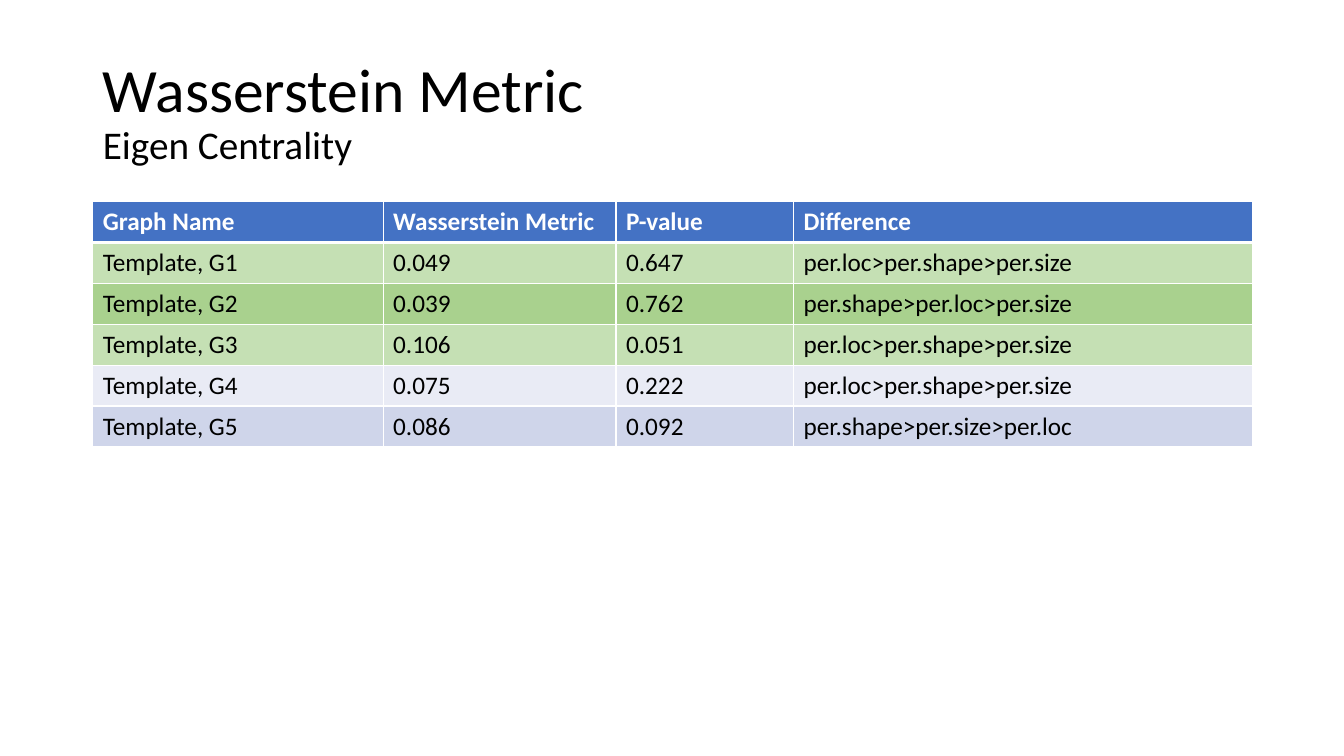
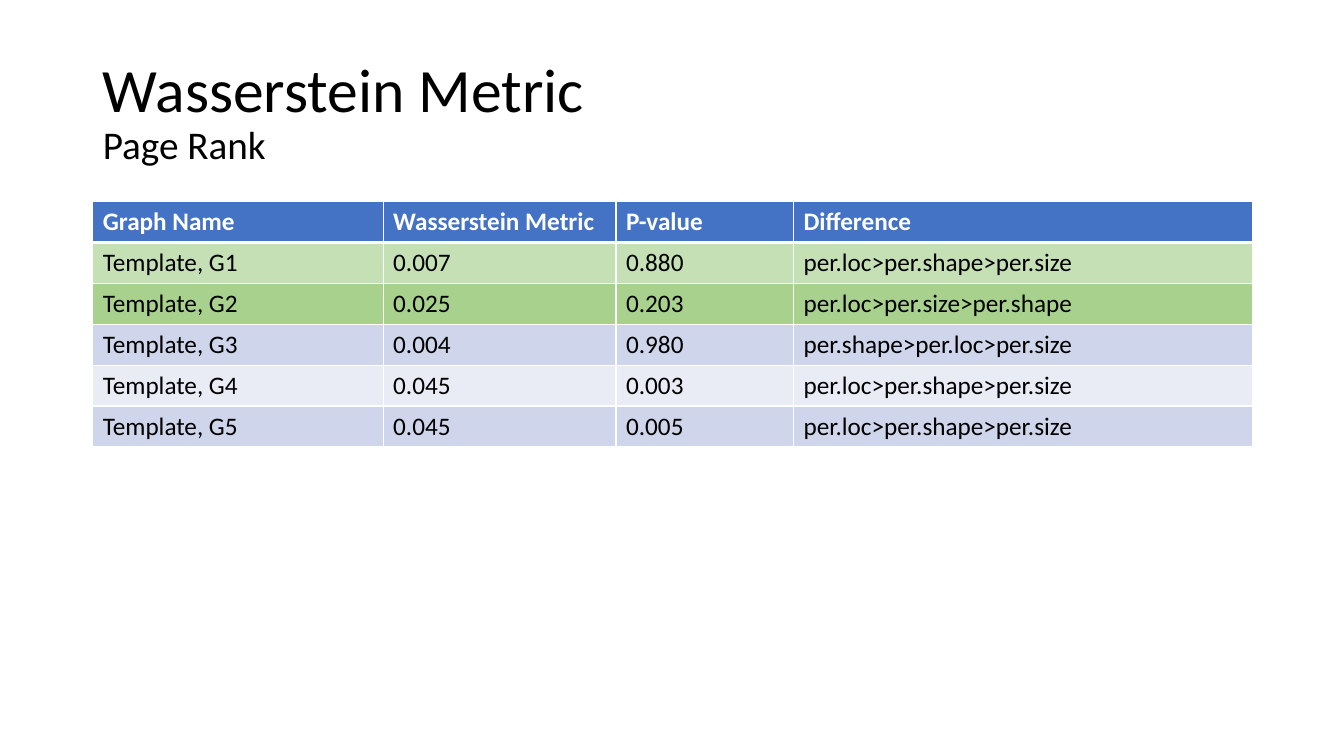
from lxml.etree import SubElement
from pptx import Presentation
from pptx.dml.color import RGBColor
from pptx.enum.text import MSO_ANCHOR, MSO_AUTO_SIZE, PP_ALIGN
from pptx.oxml.ns import qn
from pptx.util import Inches, Pt

FONT = "Calibri"
BLACK, WHITE, BLUE = "000000", "FFFFFF", "4472C4"
GREEN_BANDS = ("C5E0B4", "A9D18E")
BLUE_BANDS = ("CFD5EA", "E9EBF5")
LEFT, WIDTH = 0.92, 11.5
COLUMN_WIDTHS = (2.88, 2.31, 1.76, 4.55)
HEADERS = ("Graph Name", "Wasserstein Metric", "P-value", "Difference")

# Subtitle, number of green rows, then metric, p-value and difference per graph
SLIDES = (
    ("Eigen Centrality", 3, (
        ("0.049", "0.647", "per.loc>per.shape>per.size"),
        ("0.039", "0.762", "per.shape>per.loc>per.size"),
        ("0.106", "0.051", "per.loc>per.shape>per.size"),
        ("0.075", "0.222", "per.loc>per.shape>per.size"),
        ("0.086", "0.092", "per.shape>per.size>per.loc"),
    )),
    ("Page Rank", 2, (
        ("0.007", "0.880", "per.loc>per.shape>per.size"),
        ("0.025", "0.203", "per.loc>per.size>per.shape"),
        ("0.004", "0.980", "per.shape>per.loc>per.size"),
        ("0.045", "0.003", "per.loc>per.shape>per.size"),
        ("0.045", "0.005", "per.loc>per.shape>per.size"),
    )),
)


def rgb(color):
    return RGBColor.from_string(color)


def set_borders(cell, top, bottom):
    """Draw white cell borders; top and bottom are widths in points."""
    tc_pr = cell._tc.get_or_add_tcPr()
    for side, width in (("L", 1), ("R", 1), ("T", top), ("B", bottom)):
        ln = SubElement(tc_pr, qn(f"a:ln{side}"), w=str(Pt(width)))
        fill = SubElement(ln, qn("a:solidFill"))
        SubElement(fill, qn("a:srgbClr"), val=WHITE)


class Deck:
    """Holds the shared style and the current slide."""

    def __init__(self):
        self.prs = Presentation()
        self.prs.slide_width = Inches(13.33)
        self.prs.slide_height = Inches(7.5)
        self.slide = None

    def add_slide(self):
        self.slide = self.prs.slides.add_slide(self.prs.slide_layouts[5])

    def run(self, p, text, size, color=BLACK, bold=False):
        r = p.add_run()
        r.text = text
        r.font.name = FONT
        r.font.size = Pt(size)
        r.font.bold = bold
        r.font.color.rgb = rgb(color)

    def title(self, text, subtitle):
        sp = self.slide.shapes.title
        sp.left, sp.top = Inches(LEFT), Inches(0.4)
        sp.width, sp.height = Inches(WIDTH), Inches(1.45)
        tf = sp.text_frame
        tf.auto_size = MSO_AUTO_SIZE.NONE
        tf.vertical_anchor = MSO_ANCHOR.MIDDLE
        p = tf.paragraphs[0]
        p.alignment = PP_ALIGN.LEFT
        p.line_spacing = 0.9
        self.run(p, text, 44)
        p.add_line_break()
        self.run(p, subtitle, 28)

    def table(self, rows, green_rows):
        """Fill the first green_rows body rows with green, the rest with blue."""
        table = self.slide.shapes.add_table(
            len(rows) + 1, len(HEADERS),
            Inches(LEFT), Inches(2), Inches(WIDTH), Inches(2.43)).table
        for column, width in zip(table.columns, COLUMN_WIDTHS):
            column.width = Inches(width)
        self.row(table.rows[0], HEADERS, BLUE, WHITE, bold=True, bottom=3)
        for i, values in enumerate(rows):
            bands = GREEN_BANDS if i < green_rows else BLUE_BANDS
            self.row(table.rows[i + 1], (f"Template, G{i + 1}", *values),
                     bands[i % 2], top=1 if i else 3)

    def row(self, row, texts, fill, color=BLACK, bold=False, top=1, bottom=1):
        for cell, text in zip(row.cells, texts):
            set_borders(cell, top, bottom)
            cell.fill.solid()
            cell.fill.fore_color.rgb = rgb(fill)
            self.run(cell.text_frame.paragraphs[0], text, 18, color, bold)


def main():
    deck = Deck()
    for subtitle, green_rows, rows in SLIDES:
        deck.add_slide()
        deck.title("Wasserstein Metric", subtitle)
        deck.table(rows, green_rows)
    deck.prs.save("out.pptx")


if __name__ == "__main__":
    main()
